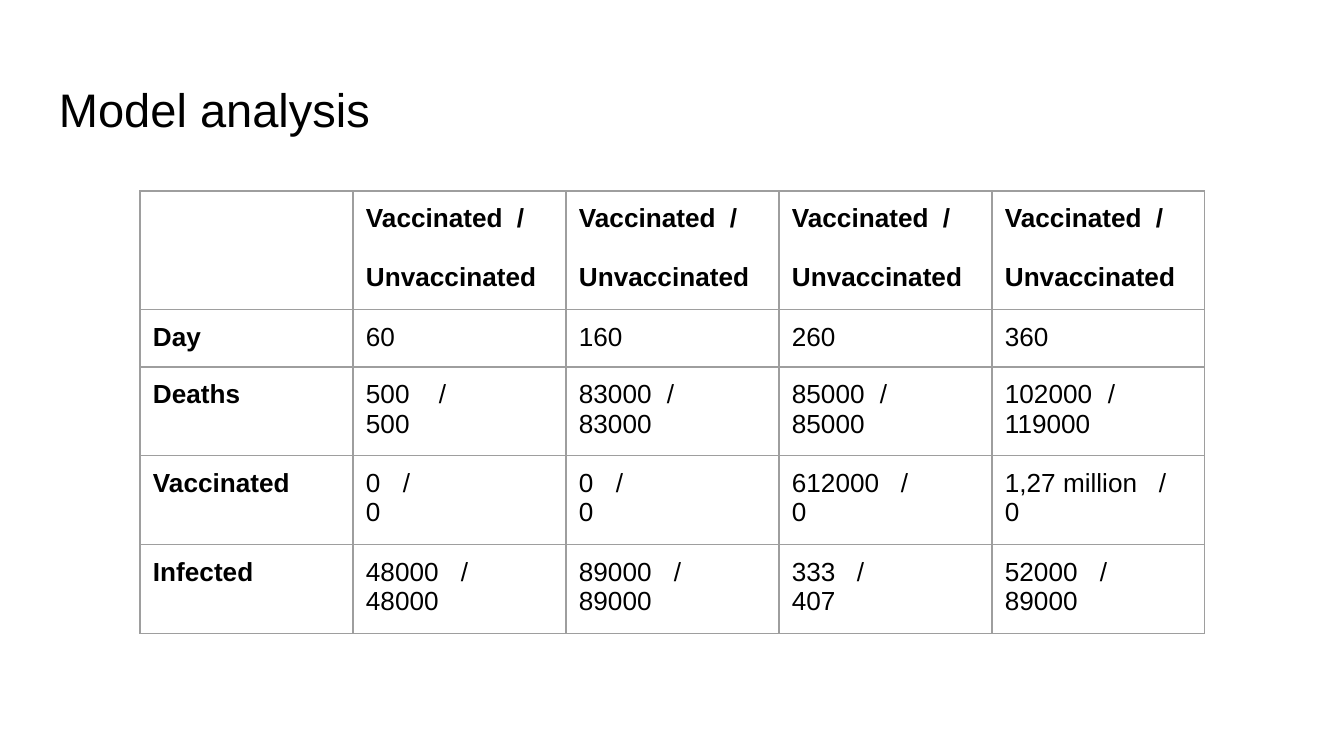
import pptx
import pptx.dml.color
import pptx.enum.text
import pptx.oxml
import pptx.oxml.ns
import pptx.util

# Content: a cell is plain text or (first value, px offset of the slash, second value)
TITLE = "Model analysis"
HEADING = ("Vaccinated", 151, "Unvaccinated")
ROWS = [
    ["", HEADING, HEADING, HEADING, HEADING],
    ["Day", "60", "160", "260", "360"],
    ["Deaths", ("500", 73, "500"), ("83000", 88, "83000"),
     ("85000", 88, "85000"), ("102000", 103, "119000")],
    ["Vaccinated", ("0", 37, "0"), ("0", 37, "0"),
     ("612000", 109, "0"), ("1,27 million", 154, "0")],
    ["Infected", ("48000", 95, "48000"), ("89000", 95, "89000"),
     ("333", 65, "407"), ("52000", 95, "89000")],
]

# Layout in px
SLIDE_SIZE = (1344, 756)
TITLE_BOX = (46, 66, 1253, 84)
TABLE_LEFT, TABLE_TOP = 140, 191
COLUMN_WIDTH = 213
ROW_HEIGHTS = [115, 56, 86, 86, 86]
INSET = 13

FONT = "Arial"
COLORS = {"background": "FFFFFF", "text": "000000", "border": "9E9E9E"}


def px(value):
    return pptx.util.Emu(round(value * 914400 / 134.4))


def rgb(name):
    return pptx.dml.color.RGBColor.from_string(COLORS[name])


def style_text(text_frame, size, bold=False):
    for paragraph in text_frame.paragraphs:
        paragraph.font.size = pptx.util.Pt(size)
        for run in paragraph.runs:
            run.font.name = FONT
            run.font.size = pptx.util.Pt(size)
            run.font.bold = bold
            run.font.color.rgb = rgb("text")


def set_insets(holder):
    holder.margin_left = holder.margin_right = px(INSET)
    holder.margin_top = holder.margin_bottom = px(INSET)


def add_tab_stop(paragraph, offset):
    tabs = pptx.oxml.parse_xml(
        f'<a:tabLst {pptx.oxml.ns.nsdecls("a")}><a:tab pos="{px(offset)}" algn="l"/></a:tabLst>')
    paragraph._p.get_or_add_pPr().append(tabs)


def add_borders(cell):
    properties = cell._tc.get_or_add_tcPr()
    for index, side in enumerate(("lnL", "lnR", "lnT", "lnB")):
        line = pptx.oxml.parse_xml(
            f'<a:{side} {pptx.oxml.ns.nsdecls("a")} w="{pptx.util.Pt(0.75)}"><a:solidFill>'
            f'<a:srgbClr val="{COLORS["border"]}"/></a:solidFill></a:{side}>')
        properties.insert(index, line)


def fill_cell(cell, content, is_header, bold):
    set_insets(cell)
    cell.fill.background()
    add_borders(cell)
    text_frame = cell.text_frame
    if isinstance(content, tuple):
        first, slash_offset, second = content
        text_frame.text = f"{first}\t/\n{second}"
        add_tab_stop(text_frame.paragraphs[0], slash_offset)
        if is_header:
            text_frame.paragraphs[1].space_before = pptx.util.Pt(16)
    else:
        text_frame.text = content
    style_text(text_frame, 14, bold)


def main():
    presentation = pptx.Presentation()
    presentation.slide_width, presentation.slide_height = map(px, SLIDE_SIZE)
    slide = presentation.slides.add_slide(presentation.slide_layouts[6])
    slide.background.fill.solid()
    slide.background.fill.fore_color.rgb = rgb("background")

    # Title
    title_frame = slide.shapes.add_textbox(*map(px, TITLE_BOX)).text_frame
    title_frame.word_wrap = True
    title_frame.vertical_anchor = pptx.enum.text.MSO_ANCHOR.BOTTOM
    set_insets(title_frame)
    title_frame.text = TITLE
    style_text(title_frame, 25.2)

    # Results table
    column_count = len(ROWS[0])
    table = slide.shapes.add_table(
        len(ROWS), column_count, px(TABLE_LEFT), px(TABLE_TOP),
        px(COLUMN_WIDTH * column_count), px(sum(ROW_HEIGHTS))).table
    table.first_row = table.horz_banding = False
    for column in table.columns:
        column.width = px(COLUMN_WIDTH)
    for row_index, (contents, height) in enumerate(zip(ROWS, ROW_HEIGHTS)):
        table.rows[row_index].height = px(height)
        for column_index, content in enumerate(contents):
            is_header = row_index == 0
            fill_cell(table.cell(row_index, column_index), content,
                      is_header, is_header or column_index == 0)

    presentation.save("out.pptx")


if __name__ == "__main__":
    main()
